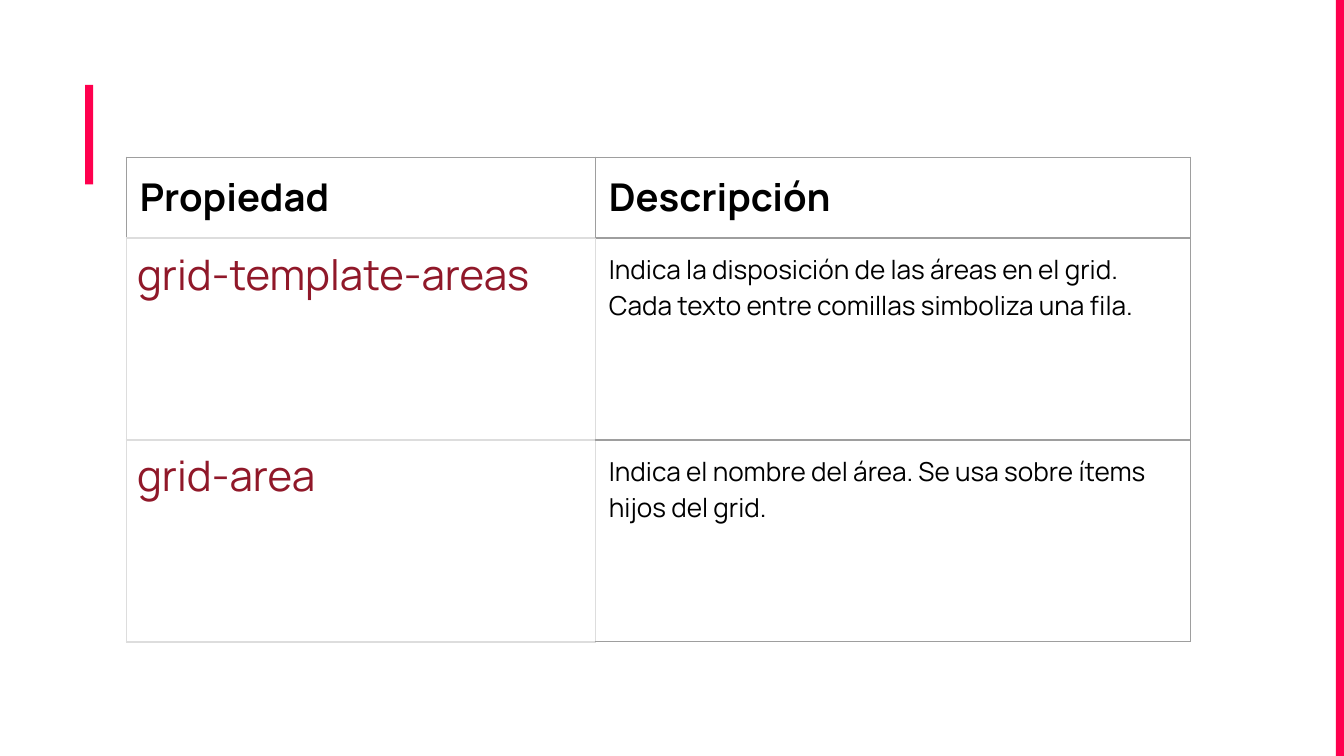
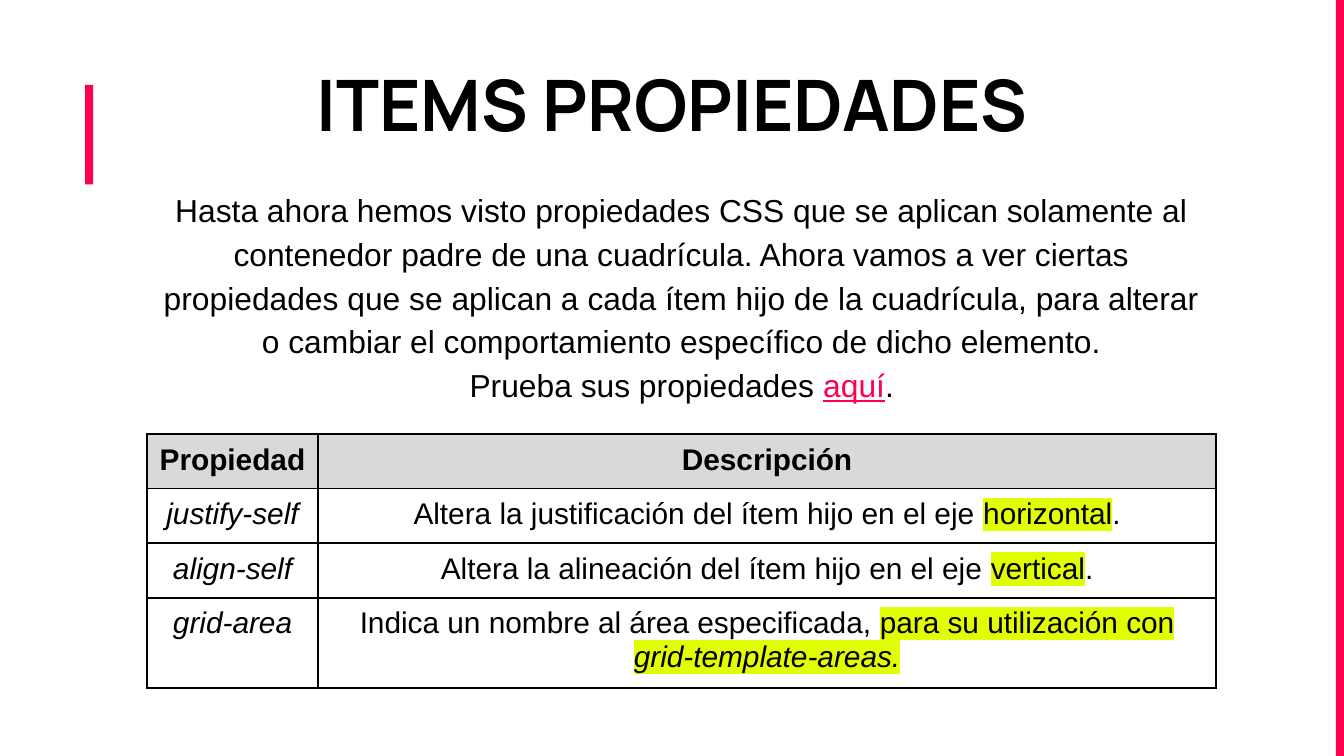
from dataclasses import dataclass
from typing import Any, NamedTuple, Optional

import lxml.etree
import pptx
import pptx.dml.color
import pptx.enum.shapes
import pptx.enum.text
import pptx.oxml.ns
import pptx.util

RGBColor = pptx.dml.color.RGBColor
ALIGN = pptx.enum.text.PP_ALIGN
ANCHOR = pptx.enum.text.MSO_ANCHOR
qn = pptx.oxml.ns.qn

# Shared look
BLACK = RGBColor(0x00, 0x00, 0x00)
ACCENT = RGBColor(0xFF, 0x00, 0x4E)
PROPERTY_RED = RGBColor(0x90, 0x18, 0x29)
MARKER = RGBColor(0xE0, 0xFF, 0x00)
HEADER_GREY = RGBColor(0xD9, 0xD9, 0xD9)
LINE_GREY = RGBColor(0x9E, 0x9E, 0x9E)
LINE_LIGHT = RGBColor(0xDD, 0xDD, 0xDD)
MANROPE = "Manrope"
ARIAL = "Arial"

# A 16:9 page, seen as a grid of 100 columns by 100 rows
PAGE_WIDTH = pptx.util.Inches(10)
PAGE_HEIGHT = PAGE_WIDTH * 9 // 16


def columns(count: float) -> int:
    return round(PAGE_WIDTH * count / 100)


def rows(count: float) -> int:
    return round(PAGE_HEIGHT * count / 100)


class Area(NamedTuple):
    left: float
    top: float
    width: float
    height: float

    def lengths(self) -> tuple[int, int, int, int]:
        return (columns(self.left), rows(self.top),
                columns(self.width), rows(self.height))


class Border(NamedTuple):
    colour: RGBColor
    width: float


class Edges(NamedTuple):
    left: Border
    right: Border
    top: Border
    bottom: Border


class Span(NamedTuple):
    text: str
    format: dict[str, Any] = {}


@dataclass(frozen=True)
class CellStyle:
    edges: Edges
    format: dict[str, Any]
    inset: float = 0.1
    align: Optional[ALIGN] = None
    line_spacing: Optional[float] = None
    fill: Optional[RGBColor] = None


@dataclass(frozen=True)
class TableRow:
    height: float
    cells: list[list[Span]]
    styles: list[CellStyle]


ACCENT_BARS = [Area(6.34, 11.25, 0.6, 13.16), Area(99.4, 0, 0.6, 100)]


# Text
def add_span(para: Any, text: str, *, font: str, size: float,
             colour: RGBColor = BLACK, bold: bool = False,
             italic: bool = False, underline: bool = False,
             highlight: Optional[RGBColor] = None) -> None:
    span = para.add_run()
    span.text = text
    span.font.size = pptx.util.Pt(size)
    span.font.bold = bold
    span.font.italic = italic
    span.font.underline = underline
    span.font.color.rgb = colour
    if highlight is not None:
        marker = lxml.etree.Element(qn("a:highlight"))
        lxml.etree.SubElement(marker, qn("a:srgbClr"), val=str(highlight))
        span.font._element.find(qn("a:solidFill")).addnext(marker)
    span.font.name = font


def fill_paragraph(para: Any, spans: list[Span], base: dict[str, Any],
                   align: Optional[ALIGN],
                   line_spacing: Optional[float]) -> None:
    para.alignment = align
    para.line_spacing = line_spacing
    for span in spans:
        add_span(para, span.text, **{**base, **span.format})


def set_insets(holder: Any, inset: float) -> None:
    holder.margin_left = holder.margin_right = pptx.util.Inches(inset)
    holder.margin_top = holder.margin_bottom = pptx.util.Inches(inset)


def add_text(page: Any, area: Area, paragraphs: list[list[Span]],
             base: dict[str, Any], anchor: ANCHOR = ANCHOR.TOP) -> None:
    frame = page.shapes.add_textbox(*area.lengths()).text_frame
    frame.word_wrap = True
    frame.vertical_anchor = anchor
    set_insets(frame, 0.1)
    for index, spans in enumerate(paragraphs):
        para = frame.add_paragraph() if index else frame.paragraphs[0]
        fill_paragraph(para, spans, base, ALIGN.CENTER, 1.15)


# Tables
def set_edges(cell: Any, edges: Edges) -> None:
    properties = cell._tc.get_or_add_tcPr()
    for tag, border in zip(("a:lnL", "a:lnR", "a:lnT", "a:lnB"), edges):
        line = lxml.etree.SubElement(
            properties, qn(tag), w=str(pptx.util.Pt(border.width)))
        paint = lxml.etree.SubElement(line, qn("a:solidFill"))
        lxml.etree.SubElement(paint, qn("a:srgbClr"), val=str(border.colour))


def add_table(page: Any, left: float, top: float, widths: list[float],
              table_rows: list[TableRow]) -> None:
    area = Area(left, top, sum(widths), sum(row.height for row in table_rows))
    table = page.shapes.add_table(
        len(table_rows), len(widths), *area.lengths()).table
    table.first_row = table.horz_banding = False
    for column, width in zip(table.columns, widths):
        column.width = columns(width)
    for row_index, row in enumerate(table_rows):
        table.rows[row_index].height = rows(row.height)
        for column_index, (spans, style) in enumerate(
                zip(row.cells, row.styles)):
            cell = table.cell(row_index, column_index)
            set_insets(cell, style.inset)
            set_edges(cell, style.edges)
            if style.fill is None:
                cell.fill.background()
            else:
                cell.fill.solid()
                cell.fill.fore_color.rgb = style.fill
            fill_paragraph(cell.text_frame.paragraphs[0], spans, style.format,
                           style.align, style.line_spacing)


# Pages
def add_page(deck: Any) -> Any:
    page = deck.slides.add_slide(deck.slide_layouts[6])
    for area in ACCENT_BARS:
        bar = page.shapes.add_shape(
            pptx.enum.shapes.MSO_SHAPE.RECTANGLE, *area.lengths())
        bar.shadow.inherit = False
        bar.fill.solid()
        bar.fill.fore_color.rgb = ACCENT
        bar.line.fill.background()
    return page


def build_area_properties(deck: Any) -> None:
    page = add_page(deck)
    grey = Border(LINE_GREY, 0.75)
    light = Border(LINE_LIGHT, 1)
    all_grey = Edges(grey, grey, grey, grey)
    all_light = Edges(light, light, light, light)
    heading = {"font": MANROPE, "size": 20.5, "bold": True}
    header_styles = [CellStyle(all_grey._replace(bottom=light), heading),
                     CellStyle(all_grey, heading)]
    body_styles = [
        CellStyle(all_light,
                  {"font": MANROPE, "size": 22.5, "colour": PROPERTY_RED},
                  inset=0.08, line_spacing=0.9),
        CellStyle(all_grey._replace(left=light),
                  {"font": MANROPE, "size": 14}),
    ]
    descriptions = {
        "grid-template-areas": "Indica la disposición de las áreas en el grid. "
                               "Cada texto entre comillas simboliza una fila.",
        "grid-area": "Indica el nombre del área. Se usa sobre ítems hijos "
                     "del grid.",
    }
    header = TableRow(10.7, [[Span("Propiedad")], [Span("Descripción")]],
                      header_styles)
    body = [TableRow(26.7, [[Span(name)], [Span(description)]], body_styles)
            for name, description in descriptions.items()]
    add_table(page, 9.4, 20.8, [34.9, 44.3], [header, *body])


def build_item_properties(deck: Any) -> None:
    page = add_page(deck)
    add_text(page, Area(7.05, 4.5, 85.9, 13.5), [[Span("ITEMS PROPIEDADES")]],
             {"font": MANROPE, "size": 38, "bold": True})
    introduction = (
        "Hasta ahora hemos visto propiedades CSS que se aplican solamente al "
        "contenedor padre de una cuadrícula. Ahora vamos a ver ciertas "
        "propiedades que se aplican a cada ítem hijo de la cuadrícula, para "
        "alterar o cambiar el comportamiento específico de dicho elemento.")
    invitation = [Span("Prueba sus propiedades "),
                  Span("aquí", {"colour": ACCENT, "underline": True}),
                  Span(".")]
    add_text(page, Area(10.93, 25.25, 79.6, 27.4),
             [[Span(introduction)], invitation],
             {"font": ARIAL, "size": 17}, ANCHOR.MIDDLE)

    black = Border(BLACK, 1)
    edges = Edges(black, black, black, black)
    plain = {"font": ARIAL, "size": 16}

    def centred(fill: Optional[RGBColor] = None, **extra: Any) -> CellStyle:
        return CellStyle(edges, {**plain, **extra}, inset=0.07,
                         align=ALIGN.CENTER, fill=fill)

    marked = {"highlight": MARKER}
    descriptions = {
        "justify-self": [
            Span("Altera la justificación del ítem hijo en el eje "),
            Span("horizontal", marked), Span(".")],
        "align-self": [
            Span("Altera la alineación del ítem hijo en el eje "),
            Span("vertical", marked), Span(".")],
        "grid-area": [
            Span("Indica un nombre al área especificada, "),
            Span("para su utilización con ", marked),
            Span("grid-template-areas.", {**marked, "italic": True})],
    }
    # Rows start almost flat and grow to fit their text
    least_height = 0.2
    header = TableRow(least_height,
                      [[Span("Propiedad")], [Span("Descripción")]],
                      [centred(HEADER_GREY, bold=True)] * 2)
    body = [TableRow(least_height, [[Span(name)], spans],
                     [centred(italic=True), centred()])
            for name, spans in descriptions.items()]
    add_table(page, 10.93, 57.4, [12.75, 66.8], [header, *body])


def main() -> None:
    deck = pptx.Presentation()
    deck.slide_width = PAGE_WIDTH
    deck.slide_height = PAGE_HEIGHT
    build_area_properties(deck)
    build_item_properties(deck)
    deck.save("out.pptx")


if __name__ == "__main__":
    main()
